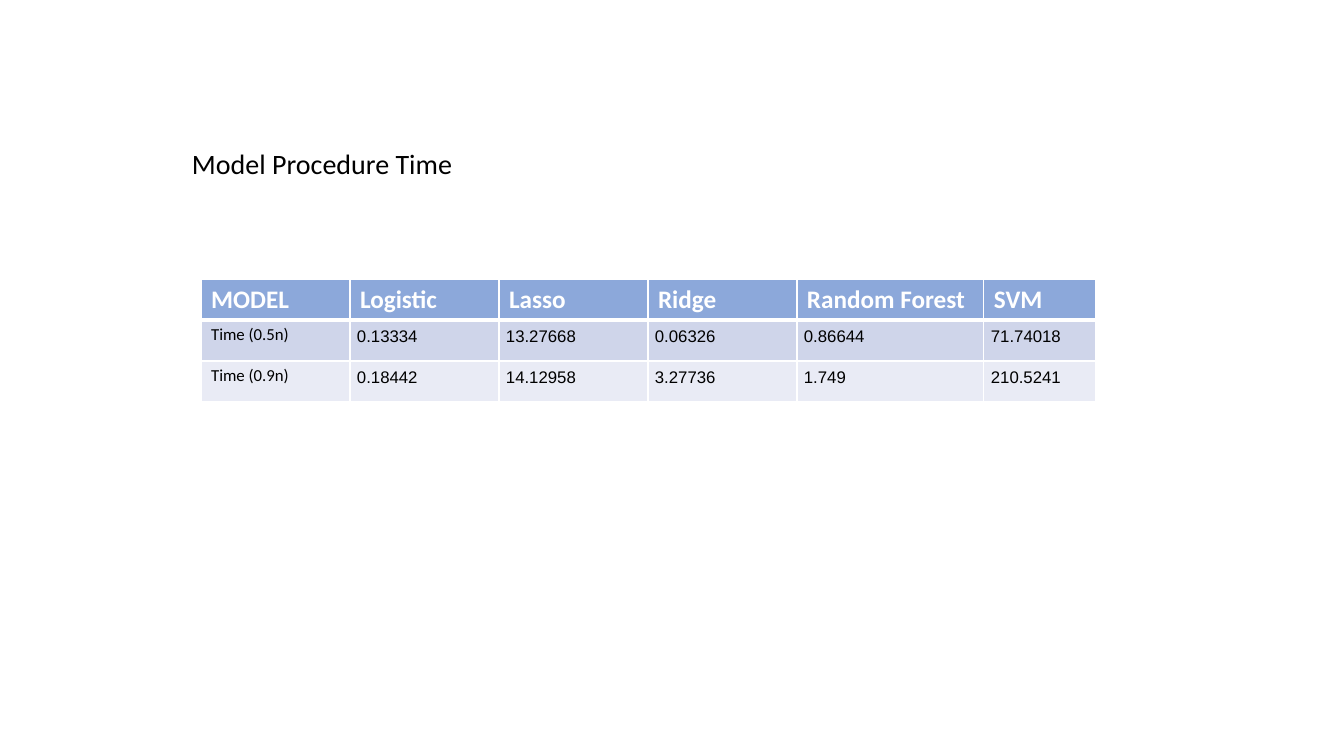
import pptx
import pptx.dml.color
import pptx.enum.text
import pptx.oxml.ns
import pptx.util
from lxml import etree

EMU_PER_PX = 914400 / 100.8

WHITE = pptx.dml.color.RGBColor(0xFF, 0xFF, 0xFF)
BLACK = pptx.dml.color.RGBColor(0x00, 0x00, 0x00)
HEADER_BLUE = pptx.dml.color.RGBColor(0x44, 0x72, 0xC4)
BAND_FILLS = [
    pptx.dml.color.RGBColor(0xCF, 0xD5, 0xEA),
    pptx.dml.color.RGBColor(0xE9, 0xEB, 0xF5),
]
HEADER_OPACITY = 61

COLUMN_WIDTHS = [149, 149, 149, 149, 187, 112]
ROW_HEIGHT = 41
VALUE_MARGIN = 7
MODEL_TIMES = [
    ["MODEL", "Logistic", "Lasso", "Ridge", "Random Forest", "SVM"],
    ["Time (0.5n)", "0.13334", "13.27668", "0.06326", "0.86644", "71.74018"],
    ["Time (0.9n)", "0.18442", "14.12958", "3.27736", "1.749", "210.5241"],
]


def px(length):
    return pptx.util.Emu(round(length * EMU_PER_PX))


def add_element(parent, tag, **attributes):
    return etree.SubElement(parent, pptx.oxml.ns.qn(tag), attributes)


def style_font(paragraph, name, size, color, bold=False):
    font = paragraph.font
    font.name = name
    font.size = pptx.util.Pt(size)
    font.bold = bold
    font.color.rgb = color


def set_borders(cell, top, bottom):
    """Draw white cell borders; top and bottom are widths in points."""
    properties = cell._tc.get_or_add_tcPr()
    for side, width in (("L", 1), ("R", 1), ("T", top), ("B", bottom)):
        line = add_element(properties, f"a:ln{side}", w=str(pptx.util.Pt(width)))
        fill = add_element(line, "a:solidFill")
        add_element(fill, "a:srgbClr", val=str(WHITE))


def fill_cell(cell, color, opacity=100):
    cell.fill.solid()
    cell.fill.fore_color.rgb = color
    if opacity < 100:
        color_element = cell._tc.tcPr.find(".//" + pptx.oxml.ns.qn("a:solidFill") + "[last()]/")
        fill = cell._tc.tcPr.find(pptx.oxml.ns.qn("a:solidFill"))
        color_element = fill[0]
        add_element(color_element, "a:alpha", val=str(opacity * 1000))


def add_title(slide, left, top, width, height):
    box = slide.shapes.add_textbox(px(left), px(top), px(width), px(height))
    frame = box.text_frame
    frame.word_wrap = True
    frame.auto_size = pptx.enum.text.MSO_AUTO_SIZE.SHAPE_TO_FIT_TEXT
    paragraph = frame.paragraphs[0]
    paragraph.text = "Model Procedure Time"
    style_font(paragraph, "Calibri", 20, BLACK)


def add_time_table(slide, left, top):
    table = slide.shapes.add_table(
        len(MODEL_TIMES), len(COLUMN_WIDTHS), px(left), px(top),
        px(sum(COLUMN_WIDTHS)), px(ROW_HEIGHT * len(MODEL_TIMES)),
    ).table
    for column, width in zip(table.columns, COLUMN_WIDTHS):
        column.width = px(width)
    for row_index, texts in enumerate(MODEL_TIMES):
        table.rows[row_index].height = px(ROW_HEIGHT)
        for column_index, text in enumerate(texts):
            cell = table.cell(row_index, column_index)
            cell.text = text
            paragraph = cell.text_frame.paragraphs[0]
            set_borders(cell, top=3 if row_index == 1 else 1, bottom=3 if row_index == 0 else 1)
            if row_index == 0:
                fill_cell(cell, HEADER_BLUE, HEADER_OPACITY)
                style_font(paragraph, "Calibri", 18, WHITE, bold=True)
                continue
            fill_cell(cell, BAND_FILLS[row_index - 1])
            style_font(paragraph, "Arial" if column_index else "Calibri", 12, BLACK)
            if column_index:
                cell.margin_left = cell.margin_right = px(VALUE_MARGIN)
                cell.margin_top = cell.margin_bottom = px(VALUE_MARGIN)


def main():
    presentation = pptx.Presentation()
    presentation.slide_width = px(1344)
    presentation.slide_height = px(756)
    slide = presentation.slides.add_slide(presentation.slide_layouts[6])
    add_time_table(slide, 201, 279)
    add_title(slide, 182, 142, 348, 44)
    presentation.save("out.pptx")


if __name__ == "__main__":
    main()
